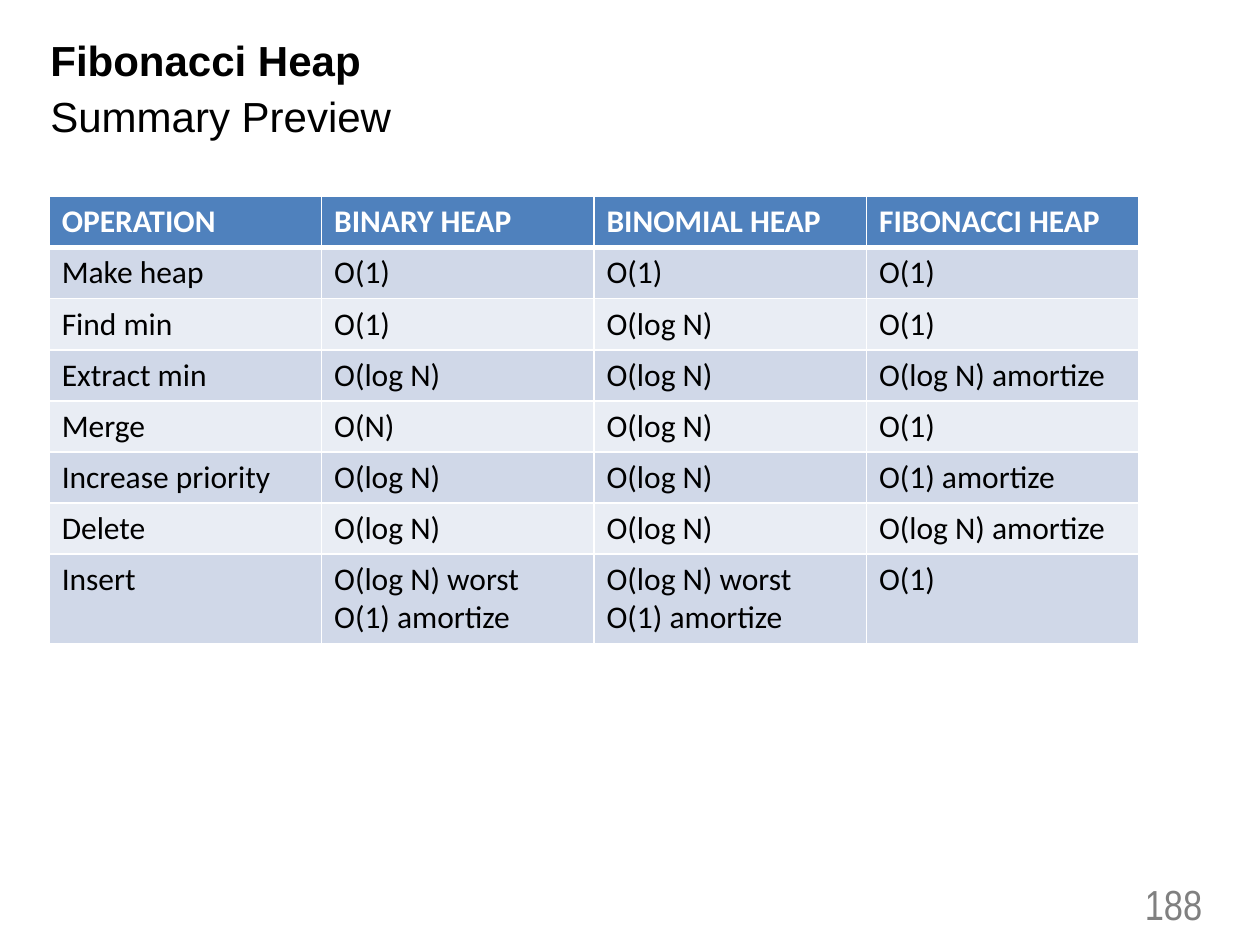
from dataclasses import dataclass

from lxml import etree
from pptx import Presentation
from pptx import util as u
from pptx.dml.color import RGBColor
from pptx.enum import text
from pptx.oxml.ns import qn


@dataclass(frozen=True)
class Theme:
    ink: str = "000000"
    paper: str = "FFFFFF"
    muted: str = "808080"
    header: str = "4F81BD"
    bands: tuple = ("D0D8E8", "E9EDF4")
    title_font: str = "Arial"
    table_font: str = "Calibri"
    number_font: str = "Arial Narrow"
    title_size: int = 24
    table_size: int = 18


HEADINGS = ("OPERATION", "BINARY HEAP", "BINOMIAL HEAP", "FIBONACCI HEAP")
LOG, ONE = "O(log N)", "O(1)"
INSERT = "O(log N) worst\nO(1) amortize"
COSTS = (
    ("Make heap", ONE, ONE, ONE),
    ("Find min", ONE, LOG, ONE),
    ("Extract min", LOG, LOG, "O(log N) amortize"),
    ("Merge", "O(N)", LOG, ONE),
    ("Increase priority", LOG, LOG, "O(1) amortize"),
    ("Delete", LOG, LOG, "O(log N) amortize"),
    ("Insert", INSERT, INSERT, ONE),
)


class Deck:
    """Theme, current slide and one method for each kind of element."""

    def __init__(self, theme, width=10, height=7.5):
        self.theme = theme
        self.prs = Presentation()
        self.prs.slide_width = u.Inches(width)
        self.prs.slide_height = u.Inches(height)
        self.s = self.prs.slides.add_slide(self.prs.slide_layouts[5])

    def box(self, left, top, width, height):
        """Turn shares of the slide's size into lengths."""
        w, h = self.prs.slide_width, self.prs.slide_height
        return [u.Emu(round(v)) for v in (left * w, top * h, width * w, height * h)]

    def style(self, tf, font, size, color, bold=False):
        for p in tf.paragraphs:
            for r in p.runs:
                r.font.name, r.font.size, r.font.bold = font, u.Pt(size), bold
                r.font.color.rgb = RGBColor.from_string(color)

    def title(self, heading, subheading, place):
        sp = self.s.shapes.title
        sp.left, sp.top, sp.width, sp.height = self.box(*place)
        tf = sp.text_frame
        tf.text = f"{heading}\n{subheading}"
        tf.auto_size = text.MSO_AUTO_SIZE.NONE
        tf.vertical_anchor = text.MSO_ANCHOR.TOP
        tf.margin_top = u.Inches(0.08)
        self.style(tf, self.theme.title_font, self.theme.title_size, self.theme.ink)
        for p in tf.paragraphs:
            p.alignment = text.PP_ALIGN.LEFT
            p.line_spacing = 0.9
        tf.paragraphs[0].runs[0].font.bold = True
        tf.paragraphs[1].space_before = u.Pt(6)

    def borders(self, cell, **widths):
        tc_pr = cell._tc.get_or_add_tcPr()
        for i, (side, width) in enumerate(widths.items()):
            ln = etree.Element(qn(f"a:ln{side}"), w=str(u.Pt(width)))
            fill = etree.SubElement(ln, qn("a:solidFill"))
            etree.SubElement(fill, qn("a:srgbClr"), val=self.theme.paper)
            tc_pr.insert(i, ln)

    def table(self, headings, rows, place):
        t = self.theme
        data = (headings, *rows)
        table = self.s.shapes.add_table(
            len(data), len(headings), *self.box(*place)).table
        for i, values in enumerate(data):
            head = i == 0
            for j, value in enumerate(values):
                cell = table.cell(i, j)
                cell.text = value
                cell.fill.solid()
                cell.fill.fore_color.rgb = RGBColor.from_string(
                    t.header if head else t.bands[(i - 1) % 2])
                self.style(cell.text_frame, t.table_font, t.table_size,
                           t.paper if head else t.ink, bold=head)
                self.borders(cell, L=1, R=1, T=3 if i == 1 else 1, B=3 if head else 1)

    def page_number(self, number, place):
        sp = self.s.shapes.add_textbox(*self.box(*place))
        tf = sp.text_frame
        tf.text = str(number)
        tf.word_wrap = True
        tf.vertical_anchor = text.MSO_ANCHOR.MIDDLE
        tf.paragraphs[0].alignment = text.PP_ALIGN.RIGHT
        self.style(tf, self.theme.number_font, self.theme.title_size, self.theme.muted)


def main():
    deck = Deck(Theme())
    # Heading
    deck.title("Fibonacci Heap", "Summary Preview", (0.03, 0.24 / 7.5, 0.57, 0.85 / 7.5))
    # Running times by heap type; eight rows of 0.4 inch, the last one grows
    deck.table(HEADINGS, COSTS, (0.039, 1.56 / 7.5, 0.865, 3.2 / 7.5))
    # Footer
    deck.page_number(188, (0.831, 6.97 / 7.5, 0.133, 0.4 / 7.5))
    deck.prs.save("out.pptx")


if __name__ == "__main__":
    main()
